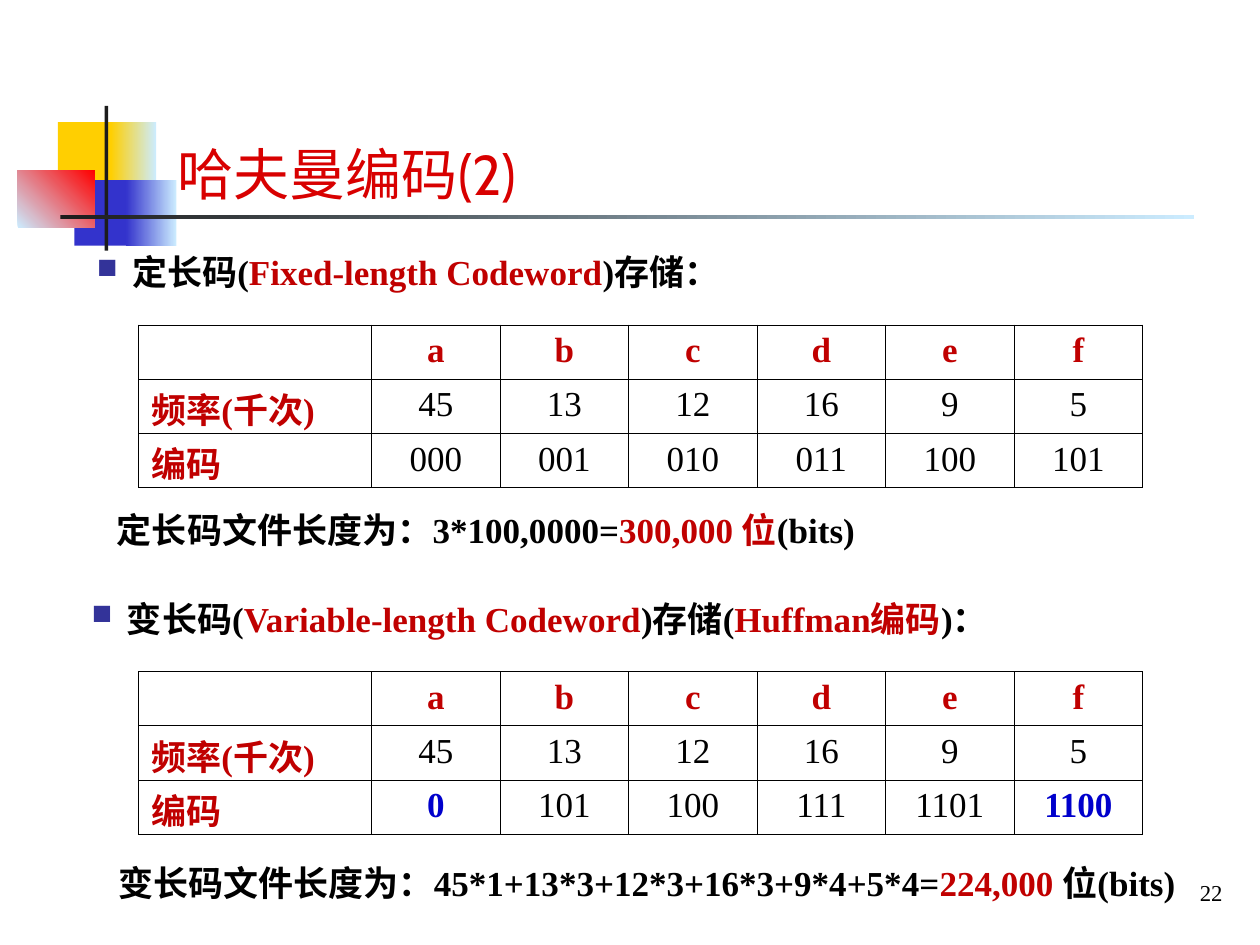
from lxml import etree
from pptx import Presentation
from pptx.dml.color import RGBColor
from pptx.enum.shapes import MSO_SHAPE
from pptx.enum.text import MSO_ANCHOR, PP_ALIGN
from pptx.oxml import parse_xml
from pptx.oxml.ns import qn
from pptx.util import Inches, Pt

RECT = MSO_SHAPE.RECTANGLE
LEFT, MID, RIGHT = PP_ALIGN.LEFT, PP_ALIGN.CENTER, PP_ALIGN.RIGHT
NS = 'xmlns:a="http://schemas.openxmlformats.org/drawingml/2006/main"'
SERIF = "Times New Roman"
HEX = {
    "black": "000000", "red": "C00000", "blue": "0000CC", "title": "D80000",
    "gold": "FFCF01", "navy": "3333CC", "pale": "CCECFF", "hot": "FF0000",
    "dark": "1C1C1C", "bullet": "333399",
}

# left, top, width, height, colour, end colour, gradient angle
DECOR = [
    (0.46, 0.97, 0.48, 0.52, "gold", None, 0),
    (0.88, 0.97, 0.36, 0.52, "gold", "pale", 0),
    (0.59, 1.43, 0.46, 0.52, "navy", None, 0),
    (1.00, 1.43, 0.40, 0.52, "navy", "pale", 0),
    (0.14, 1.35, 0.61, 0.46, "pale", "hot", 45),
    (0.83, 0.84, 0.03, 1.15, "dark", None, 0),
    (0.48, 1.71, 9.00, 0.03, "dark", "pale", 0),
]
TITLE = "哈夫曼编码(2)"
PAGE = "22"
# Each line of text is a list of (words, colour)
HEADS = [
    (0.67, 1.94, [("定长码(", "black"), ("Fixed-length Codeword", "red"),
                  (")存储：", "black")]),
    (0.63, 4.69, [("变长码(", "black"), ("Variable-length Codeword", "red"),
                  (")存储(", "black"), ("Huffman编码", "red"), (")：", "black")]),
]
SUMS = [
    (0.83, 3.99, 6.25, [("定长码文件长度为：3*100,0000=", "black"),
                        ("300,000 位", "red"), ("(bits)", "black")]),
    (0.84, 6.79, 8.79, [("变长码文件长度为：45*1+13*3+12*3+16*3+9*4+5*4=", "black"),
                        ("224,000 ", "red"), ("位(bits)", "black")]),
]
CHARS = ["", "a", "b", "c", "d", "e", "f"]
FREQS = ["频率(千次)", "45", "13", "12", "16", "9", "5"]
# top, codes, codes to stress
TABLES = [
    (2.58, ["编码", "000", "001", "010", "011", "100", "101"], ()),
    (5.33, ["编码", "0", "101", "100", "111", "1101", "1100"], ("0", "1100")),
]
COLS = [1.85] + [1.02] * 6
ROW = 0.43


def rgb(name):
    return RGBColor.from_string(HEX[name])


def style(para, size, face, color=None, bold=False, align=LEFT):
    para.alignment = align
    font = para.font
    font.size, font.name, font.bold = Pt(size), face, bold
    if color:
        font.color.rgb = rgb(color)


def add_decor(slide, x, y, w, h, color, end, angle):
    shape = slide.shapes.add_shape(RECT, *map(Inches, (x, y, w, h)))
    shape.shadow.inherit = False
    shape.line.fill.background()
    fill = shape.fill
    if end is None:
        fill.solid()
        fill.fore_color.rgb = rgb(color)
        return
    fill.gradient()
    fill.gradient_angle = angle
    for stop, name, pos in zip(fill.gradient_stops, (color, end), (0, 1)):
        stop.color.rgb = rgb(name)
        stop.position = pos


def add_bullet(para):
    props = para._p.get_or_add_pPr()
    props.set("marL", str(Inches(0.28)))
    props.set("indent", str(-Inches(0.28)))
    color = etree.SubElement(props, qn("a:buClr"))
    etree.SubElement(color, qn("a:srgbClr"), val=HEX["bullet"])
    etree.SubElement(props, qn("a:buSzPct"), val="80000")
    etree.SubElement(props, qn("a:buChar"), char="■")


def add_line(slide, x, y, w, parts, bullet=False):
    box = slide.shapes.add_textbox(*map(Inches, (x, y, w, 0.44)))
    box.text_frame.word_wrap = bullet
    para = box.text_frame.paragraphs[0]
    if bullet:
        add_bullet(para)
    style(para, 20, SERIF, bold=True)
    for words, color in parts:
        run = para.add_run()
        run.text = words
        run.font.color.rgb = rgb(color)


def add_edges(cell):
    props = cell._tc.get_or_add_tcPr()
    for side in ("lnL", "lnR", "lnT", "lnB"):
        props.append(parse_xml(
            f'<a:{side} {NS} w="{Pt(0.45)}"><a:solidFill>'
            f'<a:srgbClr val="{HEX["black"]}"/></a:solidFill></a:{side}>'))


def add_codes(slide, top, codes, stress):
    rows = [CHARS, FREQS, codes]
    frame = slide.shapes.add_table(
        len(rows), len(COLS), Inches(1.1), Inches(top),
        Inches(sum(COLS)), Inches(ROW * len(rows)))
    table = frame.table
    table.first_row = table.horz_banding = False
    for col, width in zip(table.columns, COLS):
        col.width = Inches(width)
    for r, row in enumerate(rows):
        table.rows[r].height = Inches(ROW)
        for c, text in enumerate(row):
            cell = table.cell(r, c)
            add_edges(cell)
            cell.fill.background()
            cell.margin_bottom = 0
            if c == 0:
                cell.margin_top = Inches(0.03)
            cell.text = text
            if r == 0 or c == 0:
                color = "red"
            else:
                color = "blue" if r == 2 and text in stress else "black"
            style(cell.text_frame.paragraphs[0], 20, SERIF, color,
                  color != "black", MID if c else LEFT)


def main():
    deck = Presentation()
    deck.slide_width, deck.slide_height = Inches(10), Inches(7.5)
    slide = deck.slides.add_slide(deck.slide_layouts[5])
    for item in DECOR:
        add_decor(slide, *item)

    title = slide.shapes.title
    title.left, title.top, title.width, title.height = map(
        Inches, (1.31, 0.6, 8.42, 1.09))
    title.text_frame.text = TITLE
    title.text_frame.vertical_anchor = MSO_ANCHOR.BOTTOM
    style(title.text_frame.paragraphs[0], 32, "Cabin", "title")
    # Bring the title in front of the decoration
    slide.shapes._spTree.append(title._element)

    for x, y, parts in HEADS:
        add_line(slide, x, y, 8.94, parts, bullet=True)
    for item in TABLES:
        add_codes(slide, *item)
    for item in SUMS:
        add_line(slide, *item)

    page = slide.shapes.add_textbox(*map(Inches, (7.89, 6.9, 1.91, 0.37)))
    page.text_frame.word_wrap = True
    page.text_frame.vertical_anchor = MSO_ANCHOR.MIDDLE
    page.text_frame.text = PAGE
    style(page.text_frame.paragraphs[0], 13, SERIF, "black", align=RIGHT)
    deck.save("out.pptx")


if __name__ == "__main__":
    main()
